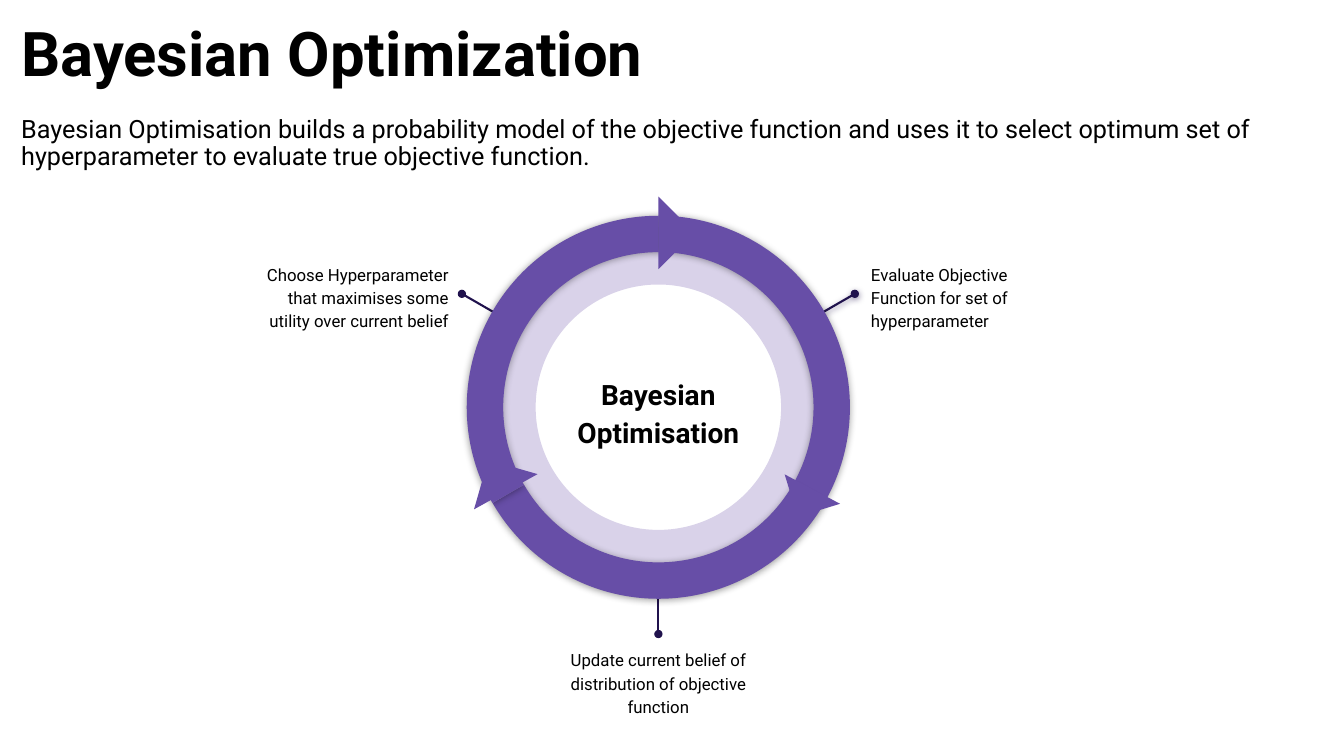
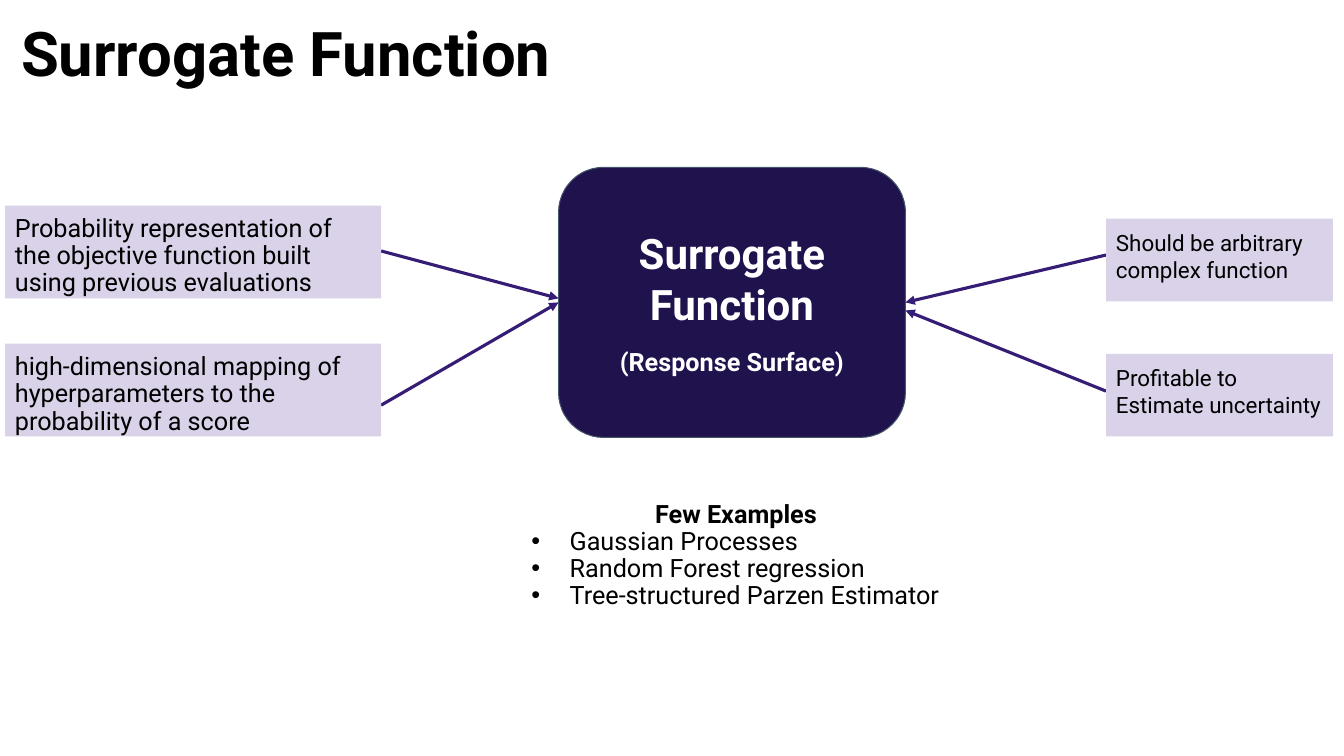
from math import cos, radians, sin

from lxml.etree import SubElement
from pptx import Presentation
from pptx.dml.color import RGBColor
from pptx.enum.shapes import MSO_CONNECTOR, MSO_SHAPE
from pptx.enum.text import MSO_ANCHOR, MSO_AUTO_SIZE, PP_ALIGN
from pptx.oxml.ns import qn
from pptx.util import Inches, Pt

FONT = "Roboto"
BLACK, WHITE, NAVY = "000000", "FFFFFF", "20124D"
PURPLE, VIOLET, LILAC, SLATE = "674EA7", "351C75", "D9D2E9", "44546A"
LEFT, CENTER, RIGHT = PP_ALIGN.LEFT, PP_ALIGN.CENTER, PP_ALIGN.RIGHT


def rgb(value):
    """Return the colour for a hex string."""
    return RGBColor.from_string(value)


def place(sp, x, y, w, h):
    """Move and size a shape in inches."""
    sp.left, sp.top, sp.width, sp.height = (Inches(v) for v in (x, y, w, h))


def write(tf, text, size=18, color=BLACK, bold=False, align=LEFT,
          spacing=1.0, before=0, bullet=False):
    """Add one formatted paragraph to a text frame."""
    p = tf.paragraphs[0]
    if p.runs:
        p = tf.add_paragraph()
    pPr = p._p.get_or_add_pPr()
    pPr.set("marL", str(Inches(0.5) if bullet else 0))
    pPr.set("indent", str(Inches(-0.38) if bullet else 0))
    if bullet:
        SubElement(SubElement(pPr, qn("a:buClr")), qn("a:srgbClr"), val=color)
        SubElement(pPr, qn("a:buFont"), typeface="Arial")
        SubElement(pPr, qn("a:buChar"), char="•")
    else:
        SubElement(pPr, qn("a:buNone"))
    p.alignment, p.line_spacing, p.space_before = align, spacing, Pt(before)
    r = p.add_run()
    r.text = text
    r.font.name, r.font.size, r.font.bold = FONT, Pt(size), bold
    r.font.color.rgb = rgb(color)


def frame(sp, inset=0.1, anchor=MSO_ANCHOR.TOP):
    """Prepare and return the text frame of a shape."""
    tf = sp.text_frame
    tf.word_wrap, tf.auto_size, tf.vertical_anchor = True, MSO_AUTO_SIZE.NONE, anchor
    tf.margin_left = tf.margin_right = tf.margin_top = tf.margin_bottom = Inches(inset)
    return tf


def placeholder(sp, *box, anchor=MSO_ANCHOR.TOP):
    """Place a template placeholder and return its text frame."""
    place(sp, *box)
    tf = frame(sp, anchor=anchor)
    tf.margin_top = tf.margin_bottom = Inches(0.05)
    return tf


def shape(s, kind, x, y, w, h, fill, line=None, rotation=0):
    """Add a filled preset shape."""
    sp = s.shapes.add_shape(kind, *(Inches(v) for v in (x, y, w, h)))
    sp.shadow.inherit = False
    sp.fill.solid()
    sp.fill.fore_color.rgb = rgb(fill)
    if line:
        sp.line.color.rgb = rgb(line)
        sp.line.width = Pt(0.75)
    else:
        sp.line.fill.background()
    sp.rotation = rotation
    return sp


def textbox(s, x, y, w, h, text, anchor=MSO_ANCHOR.TOP, **fmt):
    """Add a text box holding one paragraph."""
    sp = s.shapes.add_textbox(*(Inches(v) for v in (x, y, w, h)))
    write(frame(sp, 0.13, anchor), text, spacing=1.15, **fmt)


def connector(s, start, end, color, width, tag, kind):
    """Add a straight line with a decorated end and return its effect list."""
    sp = s.shapes.add_connector(
        MSO_CONNECTOR.STRAIGHT, *(Inches(v) for v in (*start, *end)))
    sp.line.color.rgb = rgb(color)
    sp.line.width = Pt(width)
    SubElement(sp.line._get_or_add_ln(), qn(tag), type=kind)
    return SubElement(sp._element.spPr, qn("a:effectLst"))


def drop_shadow(effects, color, alpha, blur, dist):
    """Add a downward shadow to an effect list."""
    shadow = SubElement(effects, qn("a:outerShdw"), blurRad=str(Pt(blur)),
                        dist=str(Pt(dist)), dir="5400000", rotWithShape="0")
    clr = SubElement(shadow, qn("a:srgbClr"), val=color)
    SubElement(clr, qn("a:alpha"), val=str(alpha * 1000))


def new_slide(prs, title):
    """Add a titled slide and return it with its body placeholder."""
    s = prs.slides.add_slide(prs.slide_layouts[1])
    tf = placeholder(s.shapes.title, 0.11, 0.1, 7.97, 0.92, anchor=MSO_ANCHOR.MIDDLE)
    write(tf, title, size=44, bold=True, spacing=0.9)
    return s, s.placeholders[1]


def polar(cx, cy, radius, angle):
    """Return the point at a clockwise angle around a centre."""
    return cx + radius * cos(radians(angle)), cy + radius * sin(radians(angle))


def callout(s, cx, cy, angle, text, dx, dy, align, shaded=False):
    """Draw a dotted spoke with a label beside its outer end."""
    tip = polar(cx, cy, 2.25, angle)
    effects = connector(s, tip, polar(cx, cy, 1.55, angle), NAVY, 1.5,
                        "a:headEnd", "oval")
    if shaded:
        drop_shadow(effects, NAVY, 50, 4.5, 1.5)
    textbox(s, tip[0] + dx, tip[1] + dy, 2.12, 0.94, text, size=12, align=align)


def cycle(s, x, y, size, label, steps):
    """Draw a ring of three arcs with arrowheads, callouts and a centre label."""
    cx, cy = x + size / 2, y + size / 2
    inner = size - 0.22
    disc = shape(s, MSO_SHAPE.DONUT, cx - inner / 2, cy - inner / 2, inner, inner, LILAC)
    disc.adjustments[0] = 0.16
    for step in steps:
        callout(s, cx, cy, **step)
    textbox(s, cx - 1.02, cy - 0.53, 2.04, 1.13, label, anchor=MSO_ANCHOR.MIDDLE,
            size=20, bold=True, align=CENTER)
    for rotation in (30, 150, 270):
        arc = shape(s, MSO_SHAPE.BLOCK_ARC, x, y, size, size, PURPLE, rotation=rotation)
        for i, value in enumerate((144, 0, 0.095)):
            arc.adjustments[i] = value
        drop_shadow(arc._element.spPr.find(qn("a:effectLst")), BLACK, 40, 5.6, 0.8)
    for angle, side in ((270, 0.51), (28, 0.44), (151, 0.51)):
        px, py = polar(cx, cy, 1.73, angle)
        shape(s, MSO_SHAPE.RIGHT_TRIANGLE, px - side / 2, py - side / 2, side, side,
              PURPLE, rotation=angle - 45)


def note(s, box, text, start, end, size, spacing):
    """Draw a note and the arrow that leads from it."""
    connector(s, start, end, VIOLET, 2.25, "a:tailEnd", "triangle")
    sp = shape(s, MSO_SHAPE.RECTANGLE, *box, LILAC)
    write(frame(sp), text, size=size, spacing=spacing)


def hub(s, x, y, w, h, title, subtitle):
    """Draw the dark central box."""
    sp = shape(s, MSO_SHAPE.FLOWCHART_ALTERNATE_PROCESS, x, y, w, h, NAVY, line=SLATE)
    tf = frame(sp, anchor=MSO_ANCHOR.MIDDLE)
    write(tf, title, size=30, color=WHITE, bold=True, align=CENTER)
    write(tf, subtitle, color=WHITE, bold=True, align=CENTER, before=13)


def optimization_slide(prs):
    """Build the slide with the optimisation cycle."""
    s, body = new_slide(prs, "Bayesian Optimization")
    write(placeholder(body, 0.11, 1.11, 12.93, 6.1),
          "Bayesian Optimisation builds a probability model of the objective function "
          "and uses it to select optimum set of hyperparameter to evaluate true "
          "objective function.", spacing=0.9)
    steps = [
        dict(angle=210, dx=-2.12, dy=-0.45, align=RIGHT,
             text="Choose Hyperparameter that maximises some utility over current belief"),
        dict(angle=330, dx=0.03, dy=-0.45, align=LEFT, shaded=True,
             text="Evaluate Objective Function for set of hyperparameter"),
        dict(angle=90, dx=-1.06, dy=0, align=CENTER,
             text="Update current belief of distribution of objective function"),
    ]
    cycle(s, 4.63, 2.14, 3.8, "Bayesian Optimisation", steps)


def surrogate_slide(prs):
    """Build the slide about the surrogate function."""
    s, body = new_slide(prs, "Surrogate Function")
    tf = placeholder(body, 5.05, 4.85, 4.5, 1.89)
    write(tf, "Few Examples", bold=True, align=CENTER, spacing=1.15)
    for example in ("Gaussian Processes", "Random Forest regression",
                    "Tree-structured Parzen Estimator"):
        write(tf, example, spacing=0.9, bullet=True)
    hub(s, 5.54, 1.66, 3.44, 2.68, "Surrogate Function", "(Response Surface)")
    left, right = (3.73, 0.92), (2.25, 0.82)
    notes = [
        ((0.05, 2.04, *left), "Probability representation of the objective function "
         "built using previous evaluations", (3.78, 2.49), (5.54, 2.96), 18, 0.9),
        ((0.05, 3.41, *left), "high-dimensional mapping of hyperparameters to the "
         "probability of a score", (3.78, 4.02), (5.54, 3), 18, 0.9),
        ((10.97, 2.17, *right), "Should be arbitrary complex function",
         (10.97, 2.53), (8.98, 3), 16, 1.0),
        ((10.97, 3.51, *right), "Profitable to Estimate uncertainty",
         (10.97, 3.88), (8.98, 3.08), 16, 1.0),
    ]
    for item in notes:
        note(s, *item)


def main():
    """Build and save the presentation."""
    prs = Presentation()
    prs.slide_width, prs.slide_height = Inches(13.33), Inches(7.5)
    optimization_slide(prs)
    surrogate_slide(prs)
    prs.save("out.pptx")


if __name__ == "__main__":
    main()
